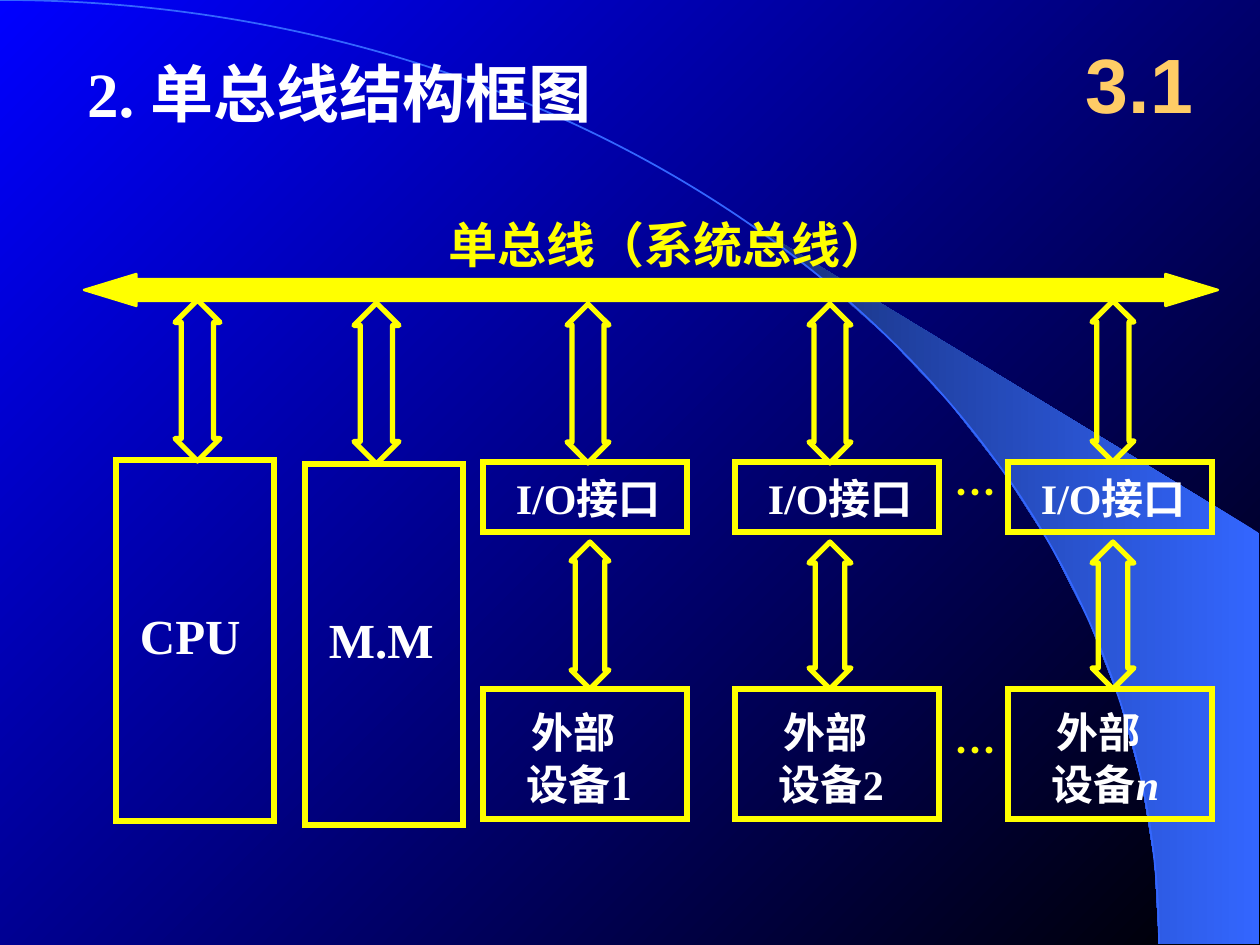
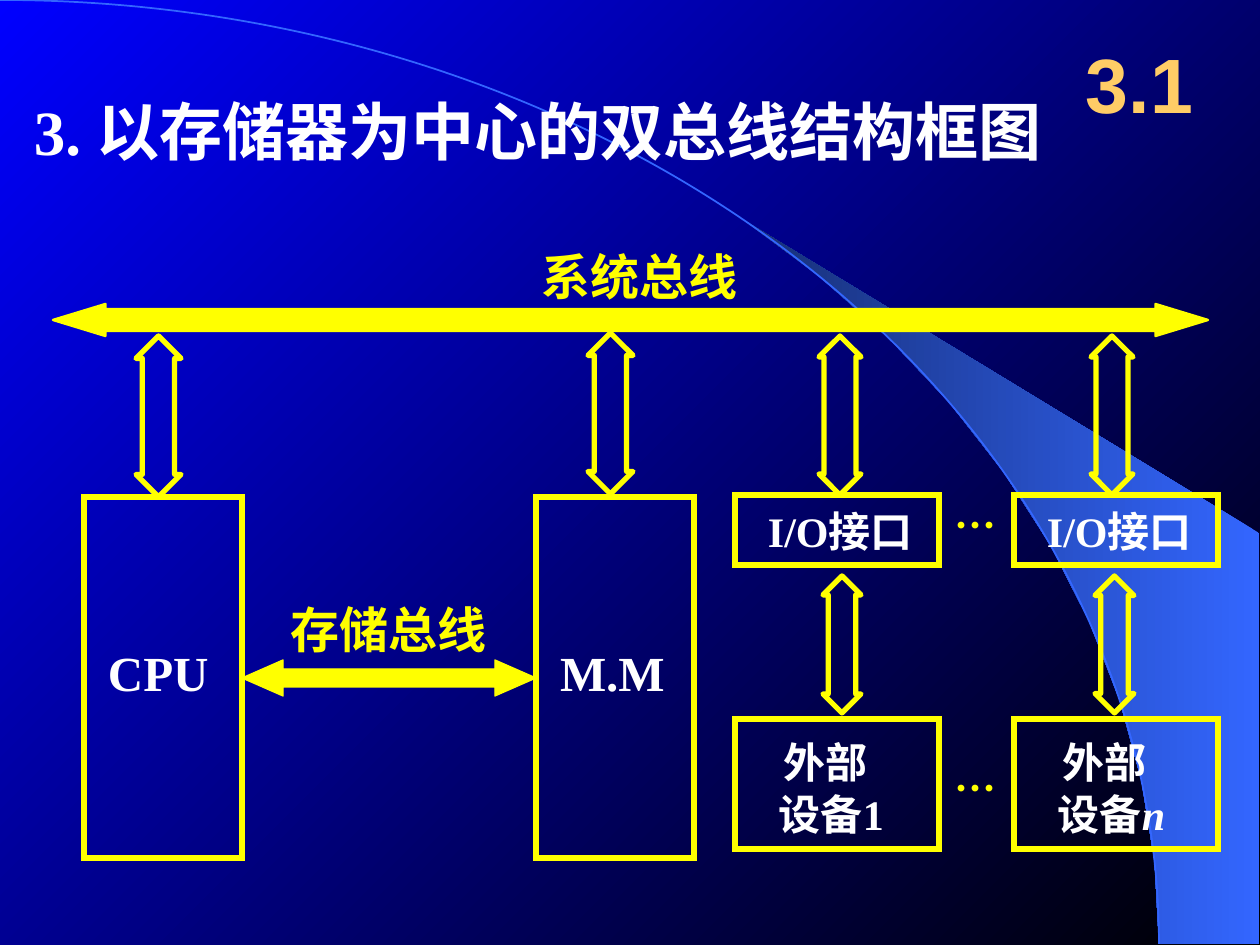
import math
import pptx
import pptx.util
import pptx.dml.color
import pptx.enum.shapes
import pptx.enum.text
import pptx.oxml.ns
from lxml import etree

PX = 914400 / 126
MSO = pptx.enum.shapes.MSO_SHAPE
QN = pptx.oxml.ns.qn
RGB = pptx.dml.color.RGBColor.from_string
C = {"black": "000000", "blue": "0000FF", "arc": "3366FF", "navy": "172F75",
     "yellow": "FFFF00", "white": "FFFFFF", "orange": "FFCC66"}
SERIF, SANS, CJK = "Times New Roman", "Arial", "Noto Sans CJK SC"


def add_outline(s, kind, x, y, w, h, width=3, fill=None, adj=(), color="yellow"):
    sp = s.shapes.add_shape(kind, *[round(v * PX) for v in (x, y, w, h)])
    sp.shadow.inherit = False
    for i, v in enumerate(adj):
        sp.adjustments[i] = v
    if fill:
        sp.fill.solid()
        sp.fill.fore_color.rgb = RGB(C[fill])
    else:
        sp.fill.background()
    sp.line.color.rgb = RGB(C[color])
    sp.line.width = pptx.util.Pt(width)
    if kind == MSO.RECTANGLE:
        etree.SubElement(sp._element.spPr.find(QN("a:ln")), QN("a:miter")).set("lim", "800000")
    return sp


def write(sp, lines, size, font=SERIF, color="white", left=0, top=2, first=0):
    tf = sp.text_frame
    tf.word_wrap = True
    tf.vertical_anchor = pptx.enum.text.MSO_ANCHOR.TOP
    tf.margin_left, tf.margin_top = round(left * PX), round(top * PX)
    tf.margin_right = tf.margin_bottom = 0
    for i, runs in enumerate(lines):
        p = tf.add_paragraph() if i else tf.paragraphs[0]
        p.alignment = pptx.enum.text.PP_ALIGN.LEFT
        p.line_spacing = pptx.util.Pt(size * 1.25)
        if first and not i:
            p._p.get_or_add_pPr().set("marL", str(round(first * PX)))
        for t in runs:
            r = p.add_run()
            r.text = t
            r.font.size = pptx.util.Pt(size)
            r.font.bold = True
            r.font.italic = t == "n"
            r.font.name = font
            r.font.color.rgb = RGB(C[color])
            etree.SubElement(r._r.get_or_add_rPr(), QN("a:ea")).set("typeface", CJK)


SLIDES = [
    {"title": ("2. 单总线结构框图", 87, 48, 560),
     "labels": [("单总线（系统总线）", 449, 210, 460)],
     "bus": (84, 274, 1134, 32),
     "units": [("CPU", 116, 460), ("M.M", 305, 464)],
     "io_y": 462, "device_y": 689,
     "devices": [("1", 483), ("2", 735), ("n", 1008)],
     "dots_y": (462, 720),
     "arrows": [(175, 300, 45, 161), (354, 303, 45, 161),
                (567, 304, 42, 159), (809, 304, 42, 159), (1092, 301, 42, 161),
                (571, 542, 38, 147), (809, 542, 42, 147), (1092, 542, 42, 147)]},
    {"title": ("3. 以存储器为中心的双总线结构框图", 34, 86, 1080),
     "labels": [("系统总线", 542, 242, 319), ("存储总线", 291, 595, 220)],
     "bus": (53, 304, 1155, 32),
     "memory_bus": (242, 660, 294, 36),
     "units": [("CPU", 84, 497), ("M.M", 536, 497)],
     "io_y": 495, "device_y": 719,
     "devices": [("1", 735), ("n", 1014)],
     "dots_y": (495, 758),
     "arrows": [(136, 336, 45, 161), (588, 333, 45, 161),
                (819, 336, 42, 159), (1091, 336, 42, 159),
                (823, 576, 38, 137), (1095, 576, 39, 137)]},
]

prs = pptx.Presentation()
prs.slide_width, prs.slide_height = pptx.util.Inches(10), pptx.util.Inches(7.5)
RX, RY = 1159, 944

for d in SLIDES:
    s = prs.slides.add_slide(prs.slide_layouts[6])

    curve = [(RX * math.cos(math.radians(a)), RY - RY * math.sin(math.radians(a)))
             for a in range(50, -1, -5)]
    fb = s.shapes.build_freeform(round(RX * PX), round(RY * PX))
    fb.add_line_segments([(round(x * PX), round(y * PX))
                          for x, y in [(1259, RY), (1259, 533)] + curve])
    wedge = fb.convert_to_shape()
    wedge.shadow.inherit = False
    wedge.line.fill.background()
    for fill, angle, colors in ((s.background.fill, 135, ("black", "blue")),
                                (wedge.fill, 180, ("arc", "navy"))):
        fill.gradient()
        fill.gradient_angle = angle
        for stop, name in zip(fill.gradient_stops, colors):
            stop.color.rgb = RGB(C[name])
    add_outline(s, MSO.ARC, -RX, 0, 2 * RX, 2 * RY, 1, color="arc")

    text, x, y, w = d["title"]
    tb = s.shapes.add_textbox(*[round(v * PX) for v in (x, y, w, 79)])
    write(tb, [[text]], 36, top=3)
    for text, x, y, w in d["labels"]:
        tb = s.shapes.add_textbox(*[round(v * PX) for v in (x, y, w, 60)])
        write(tb, [[text]], 28, CJK, "yellow")

    add_outline(s, MSO.LEFT_RIGHT_ARROW, *d["bus"], 1.39, "yellow", (0.68, 1.64))
    if "memory_bus" in d:
        add_outline(s, MSO.LEFT_RIGHT_ARROW, *d["memory_bus"], 0.75, "yellow", (0.5, 1.14))

    for name, x, y in d["units"]:
        sp = add_outline(s, MSO.RECTANGLE, x, y, 158, 361)
        write(sp, [[name]], 28, left=24, top=143)
    for number, x in d["devices"]:
        sp = add_outline(s, MSO.RECTANGLE, x, d["io_y"], 204, 70)
        write(sp, [["I/O接口"]], 24, left=33, top=8)
        sp = add_outline(s, MSO.RECTANGLE, x, d["device_y"], 204, 130)
        write(sp, [["外部"], ["设备", number]], 24, left=44, top=15, first=5)
    for x, y, w, h in d["arrows"]:
        add_outline(s, MSO.UP_DOWN_ARROW, x, y, w, h, adj=(0.5, 0.2 * h / w))
    for y in d["dots_y"]:
        tb = s.shapes.add_textbox(*[round(v * PX) for v in (955, y, 52, 50)])
        write(tb, [["…"]], 24, CJK, "yellow")

    tb = s.shapes.add_textbox(*[round(v * PX) for v in (1061, 21, 158, 116)])
    write(tb, [["3.1"]], 44, SANS, "orange", left=25, top=12)

prs.save("out.pptx")
